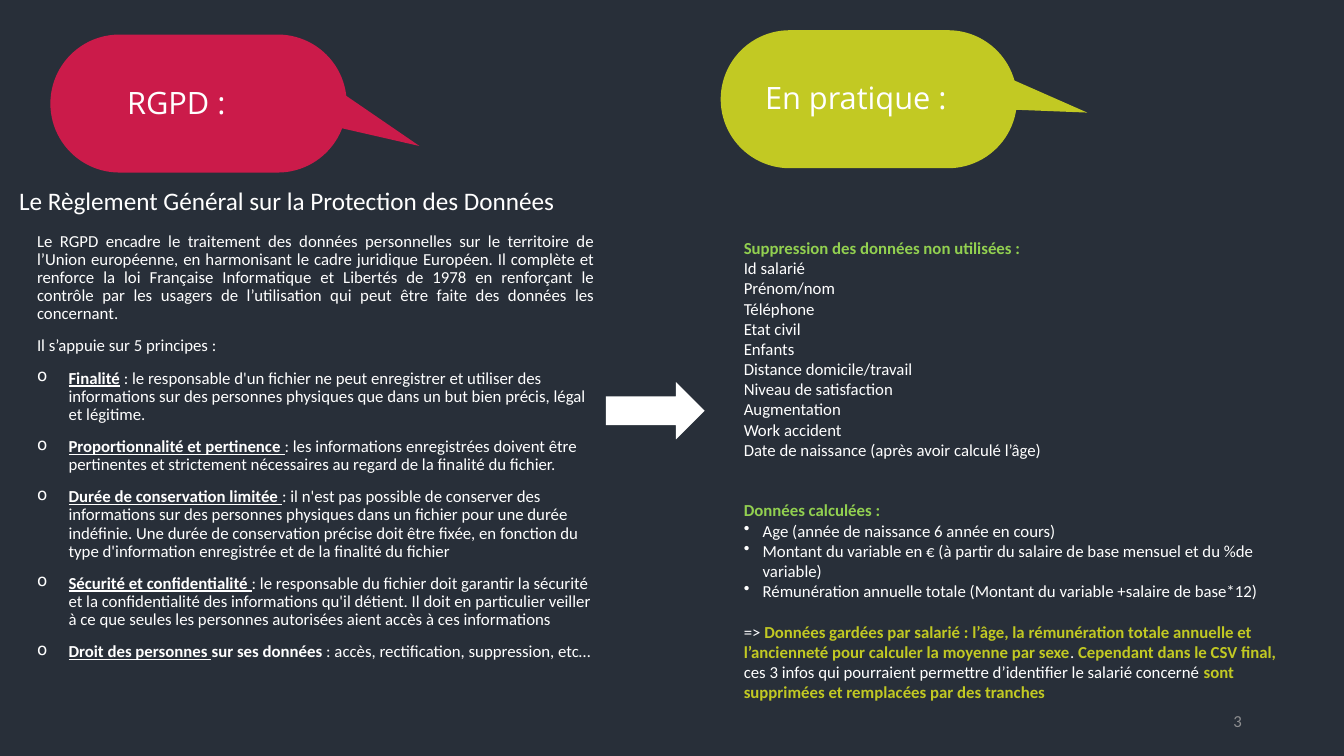
from lxml import etree
from pptx import Presentation
from pptx.dml.color import RGBColor
from pptx.enum import shapes, text
from pptx.oxml import ns
from pptx.util import Pt

NIGHT = RGBColor(0x28, 0x2F, 0x39)
WHITE = RGBColor(0xFF, 0xFF, 0xFF)
GREY = RGBColor(0x8E, 0x8F, 0x91)
ROSE = RGBColor(0xCB, 0x1B, 0x4A)
LIME = RGBColor(0xC2, 0xC9, 0x23)
GREEN = RGBColor(0x92, 0xD0, 0x50)

SHAPE = shapes.MSO_SHAPE
ALIGN = text.PP_ALIGN
GROW = text.MSO_AUTO_SIZE.SHAPE_TO_FIT_TEXT

BODY = {"name": "Calibri", "size": Pt(12)}
TITLE = {"name": "Calibri", "size": Pt(18)}
LABEL = {"name": "Open Sans", "size": Pt(22)}
TERM = {"bold": True, "underline": True}
BOLD = {"bold": True}
HEAD = {"bold": True, "color": GREEN}
KEY = {"bold": True, "color": LIME}

INTRO = [
    "Le RGPD encadre le traitement des données personnelles sur le territoire de l’Union européenne, "
    "en harmonisant le cadre juridique Européen. Il complète et renforce la loi Française Informatique "
    "et Libertés de 1978 en renforçant le contrôle par les usagers de l’utilisation qui peut être faite "
    "des données les concernant.",
    "Il s’appuie sur 5 principes :",
]
RULES = [
    [("Finalité", TERM),
     (" : le responsable d'un fichier ne peut enregistrer et utiliser des informations sur des "
      "personnes physiques que dans un but bien précis, légal et légitime.", {})],
    [("Proportionnalité et pertinence ", TERM),
     (": les informations enregistrées doivent être pertinentes et strictement nécessaires au regard "
      "de la finalité du fichier.", {})],
    [("Durée de conservation limitée ", TERM),
     (": il n'est pas possible de conserver des informations sur des personnes physiques dans un "
      "fichier pour une durée indéfinie. Une durée de conservation précise doit être fixée, en fonction "
      "du type d'information enregistrée et de la finalité du fichier", {})],
    [("Sécurité et confidentialité ", TERM),
     (": le responsable du fichier doit garantir la sécurité et la confidentialité des informations "
      "qu'il détient. Il doit en particulier veiller à ce que seules les personnes autorisées aient "
      "accès à ces informations", {})],
    [("Droit des personnes ", TERM), ("sur ses données ", BOLD),
     (": accès, rectification, suppression, etc…", {})],
]
DROPPED = ["Id salarié", "Prénom/nom", "Téléphone", "Etat civil", "Enfants",
           "Distance domicile/travail", "Niveau de satisfaction", "Augmentation",
           "Work accident", "Date de naissance (après avoir calculé l’âge)"]
DERIVED = ["Age (année de naissance 6 année en cours)",
           "Montant du variable en € (à partir du salaire de base mensuel et du %de variable)",
           "Rémunération annuelle totale (Montant du variable +salaire de base*12)"]
RESULT = [
    ("=> ", {}),
    ("Données gardées par salarié : l’âge, la rémunération totale annuelle et l’ancienneté pour "
     "calculer la moyenne par sexe", KEY),
    (". ", {}),
    ("Cependant dans le CSV final, ", KEY),
    ("ces 3 infos qui pourraient permettre d’identifier le salarié concerné ", {}),
    ("sont supprimées et remplacées par des tranches", KEY),
]


class Page:
    def __init__(self, slide):
        self.slide = slide
        fill = slide.background.fill
        fill.solid()
        fill.fore_color.rgb = NIGHT

    def shape(self, kind, box, color, turn=0, adjust=None):
        form = self.slide.shapes.add_shape(kind, *map(Pt, box))
        form.shadow.inherit = False
        form.fill.solid()
        form.fill.fore_color.rgb = color
        form.line.fill.background()
        form.rotation = turn
        if adjust is not None:
            form.adjustments[0] = adjust

    def bubble(self, spot, tail, turn, color):
        self.shape(SHAPE.ISOSCELES_TRIANGLE, (*tail, 26, 68), color, turn, 0.706)
        self.shape(SHAPE.ROUNDED_RECTANGLE, (*spot, 211.7, 98.6), color, adjust=0.5)

    def box(self, box, **frame):
        body = self.slide.shapes.add_textbox(*map(Pt, box)).text_frame
        for name, value in {"word_wrap": True, **frame}.items():
            setattr(body, name, value)
        return body

    def say(self, body, runs, font=BODY, color=WHITE, bullet=None, indent=0, **layout):
        """Add one paragraph; runs is a string or a list of (words, look) pairs."""
        first = body.paragraphs[0]
        para = body.add_paragraph() if first.runs else first
        for name, value in layout.items():
            setattr(para, name, value)
        if bullet:
            props = para._p.get_or_add_pPr()
            props.set("marL", str(Pt(indent)))
            props.set("indent", str(-Pt(indent)))
            etree.SubElement(props, ns.qn("a:buChar")).set("char", bullet)
        for words, look in [(runs, {})] if isinstance(runs, str) else runs:
            run = para.add_run()
            run.text = words
            style = {**font, "color": color, **look}
            run.font.color.rgb = style.pop("color")
            for name, value in style.items():
                setattr(run.font, name, value)

    def label(self, words, box):
        self.say(self.box(box, auto_size=GROW), words, LABEL, alignment=ALIGN.CENTER)


def main():
    deck = Presentation()
    deck.slide_width, deck.slide_height = Pt(960), Pt(540)
    page = Page(deck.slides.add_slide(deck.slide_layouts[6]))

    page.bubble((514.8, 21.6), (730.8, 36), 98.7, LIME)
    page.bubble((36, 24.7), (256.3, 54), 109.3, ROSE)
    page.label("En pratique :", (530, 52.6, 162.7, 34))
    page.label("RGPD :", (44.6, 56.2, 162.7, 34))

    title = page.box((6.5, 128.9, 401.8, 29), word_wrap=False, auto_size=GROW)
    page.say(title, "Le Règlement Général sur la Protection des Données", TITLE)

    law = page.box((19.4, 162.7, 412.6, 347))
    space = {"line_spacing": 0.9, "space_before": Pt(10)}
    for words in INTRO:
        page.say(law, words, alignment=ALIGN.JUSTIFY, **space)
    for rule in RULES:
        page.say(law, rule, bullet="o", indent=22.5, **space)

    page.shape(SHAPE.RIGHT_ARROW, (432.7, 272.9, 70.6, 41), WHITE)

    work = page.box((524.2, 166.3, 412.6, 370.8), auto_size=GROW)
    page.say(work, [("Suppression des données non utilisées :", HEAD)])
    for words in DROPPED:
        page.say(work, words)
    page.say(work, [("Données calculées :", HEAD)], space_before=Pt(29))
    for words in DERIVED:
        page.say(work, words, bullet="•", indent=13.5)
    page.say(work, RESULT, space_before=Pt(14.5))

    number = page.box((678.2, 500.4, 216, 28.8), vertical_anchor=text.MSO_ANCHOR.MIDDLE)
    page.say(number, "3", color=GREY, alignment=ALIGN.RIGHT)
    deck.save("out.pptx")


if __name__ == "__main__":
    main()
